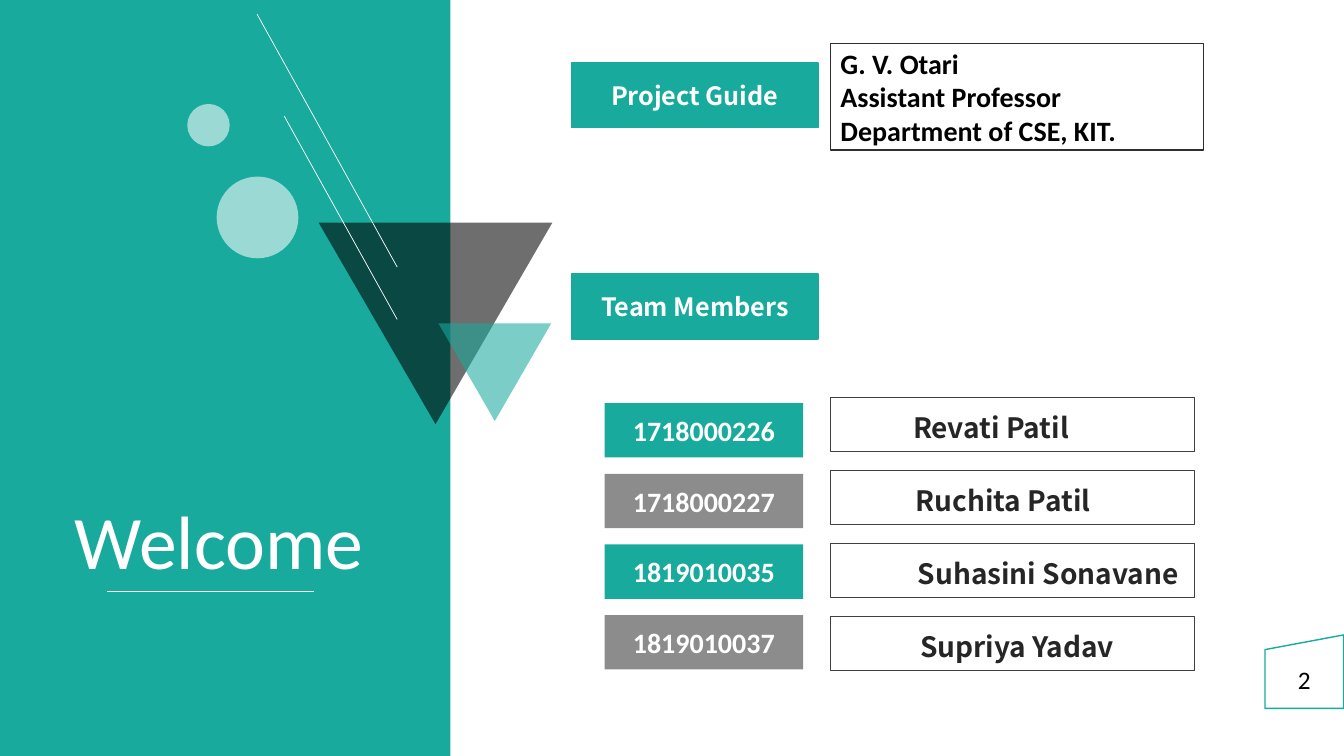
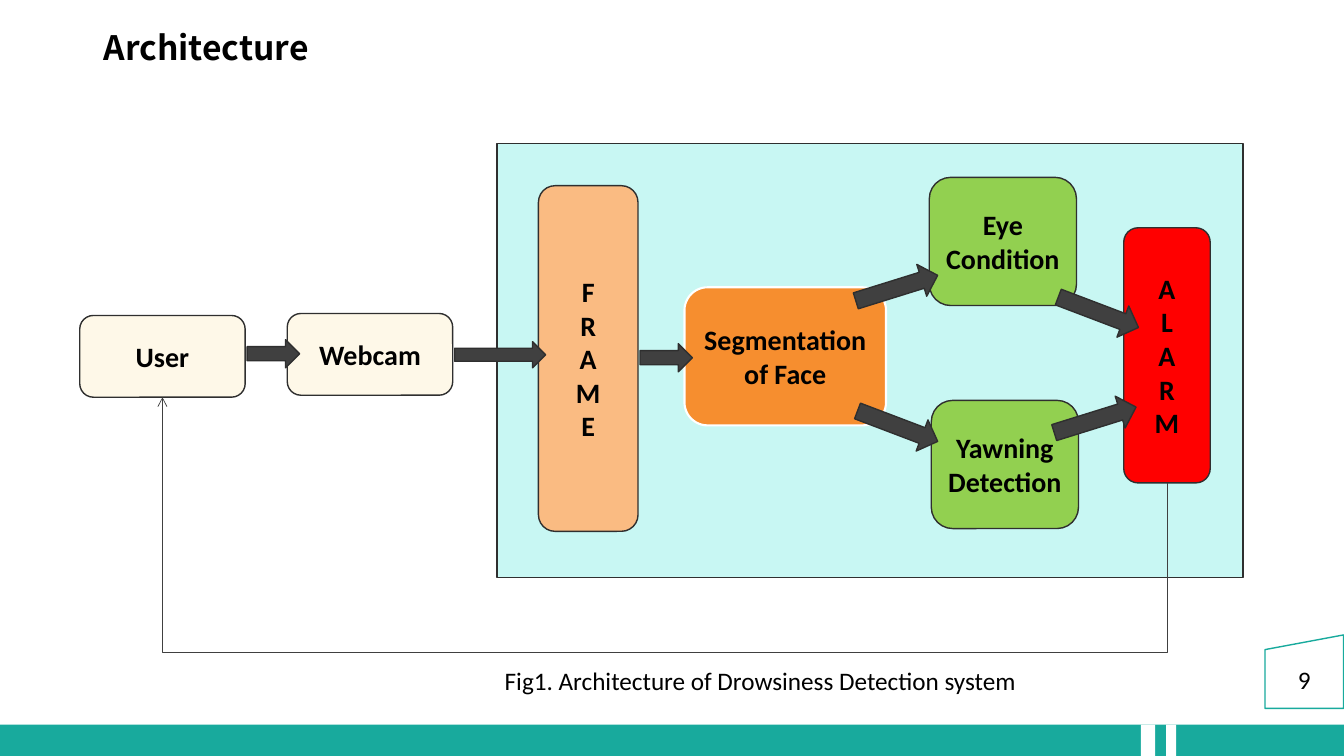
from lxml import etree
from pptx import Presentation
from pptx.dml.color import RGBColor
from pptx.enum.shapes import MSO_CONNECTOR, MSO_SHAPE
from pptx.enum.text import MSO_ANCHOR, MSO_AUTO_SIZE, PP_ALIGN
from pptx.oxml.ns import qn
from pptx.util import Cm, Pt

RECT = MSO_SHAPE.RECTANGLE
ROUNDED = MSO_SHAPE.ROUNDED_RECTANGLE
TRIANGLE = MSO_SHAPE.ISOSCELES_TRIANGLE
OVAL = MSO_SHAPE.OVAL
BLOCK_ARROW = MSO_SHAPE.RIGHT_ARROW
PAGE_TAB = MSO_SHAPE.FLOWCHART_MANUAL_INPUT
STRAIGHT, ELBOW = MSO_CONNECTOR.STRAIGHT, MSO_CONNECTOR.ELBOW
LEFT, CENTER = PP_ALIGN.LEFT, PP_ALIGN.CENTER
TOP, MIDDLE = MSO_ANCHOR.TOP, MSO_ANCHOR.MIDDLE
NO_AUTOFIT = MSO_AUTO_SIZE.NONE
BOTTOM_SIDE = 2

TEAL = RGBColor(0x18, 0xAA, 0x9D)
WHITE = RGBColor(0xFF, 0xFF, 0xFF)
BLACK = RGBColor(0x00, 0x00, 0x00)
INK = RGBColor(0x26, 0x26, 0x26)
OUTLINE = RGBColor(0x2F, 0x2F, 0x2F)
CHARCOAL = RGBColor(0x40, 0x40, 0x40)
GRAY = RGBColor(0x8C, 0x8C, 0x8C)
CREAM = RGBColor(0xFE, 0xF8, 0xE8)
AQUA = RGBColor(0xC8, 0xF7, 0xF3)
PEACH = RGBColor(0xFA, 0xBB, 0x82)
ORANGE = RGBColor(0xF6, 0x8E, 0x2F)
GREEN = RGBColor(0x92, 0xD0, 0x50)
RED = RGBColor(0xFF, 0x00, 0x00)

BODY_FONT = "Calibri"
HEAD_FONT = "Noto Sans CJK SC"
SLIDE_W, SLIDE_H = 33.87, 19.05
TITLE_ONLY = 5

TEAM = [
    ("1718000226", "Revati Patil"),
    ("1718000227", "Ruchita Patil"),
    ("1819010035", "Suhasini Sonavane"),
    ("1819010037", "Supriya Yadav"),
]


def write(shape, text, size, color=BLACK, bold=True, font=BODY_FONT,
          align=CENTER, anchor=MIDDLE):
    """Fill a shape with one paragraph for each line of text."""
    frame = shape.text_frame
    frame.word_wrap = True
    frame.auto_size = NO_AUTOFIT
    frame.vertical_anchor = anchor
    for index, line in enumerate(text.split("\n")):
        paragraph = frame.add_paragraph() if index else frame.paragraphs[0]
        paragraph.alignment = align
        run = paragraph.add_run()
        run.text = line
        run.font.name = font
        run.font.size = Pt(size)
        run.font.bold = bold
        run.font.color.rgb = color


def add_block(slide, kind, box, fill=None, line=None, weight=1, alpha=None):
    """Add a preset shape; box is left, top, width, height in centimetres."""
    block = slide.shapes.add_shape(kind, *map(Cm, box))
    block.shadow.inherit = False
    if fill is None:
        block.fill.background()
    else:
        block.fill.solid()
        block.fill.fore_color.rgb = fill
    if alpha is not None:
        color = block.element.spPr.find(qn("a:solidFill"))[0]
        etree.SubElement(color, qn("a:alpha"), val=str(alpha * 1000))
    if line is None:
        block.line.fill.background()
    else:
        block.line.color.rgb = line
        block.line.width = Pt(weight)
    return block


def add_thin_line(slide, start, end, color, kind=STRAIGHT, arrow=False):
    line = slide.shapes.add_connector(kind, *map(Cm, start + end))
    line.line.color.rgb = color
    line.line.width = Pt(0.5)
    properties = line.element.spPr
    if arrow:
        etree.SubElement(properties.find(qn("a:ln")), qn("a:tailEnd"), type="arrow")
    etree.SubElement(properties, qn("a:effectLst"))
    return line


def place_title(slide, box, text, **style):
    """Move the title placeholder to box, in front of the shapes so far."""
    title = slide.shapes.title
    title.left, title.top, title.width, title.height = map(Cm, box)
    title.element.getparent().append(title.element)
    write(title, text, align=LEFT, anchor=TOP, **style)


def page_number(slide, number):
    tab = add_block(slide, PAGE_TAB, (31.88, 16, 1.98, 1.85), WHITE, TEAL)
    write(tab, str(number), 18, bold=False)


def footer_band(slide, top=18.26):
    height = SLIDE_H - top
    add_block(slide, RECT, (0, top, SLIDE_W, height), TEAL)
    for left, width in ((28.75, 0.36), (29.39, 0.25)):
        add_block(slide, RECT, (left, top, width, height), WHITE)


def welcome_panel(slide, left, top):
    add_block(slide, RECT, (left, top, 11.35, SLIDE_H), TEAL)
    for x, y, width, height, fill in ((8.03, 5.61, 5.89, 5.08, BLACK),
                                      (11.05, 8.15, 2.84, 2.46, TEAL)):
        triangle = add_block(slide, TRIANGLE, (left + x, top + y, width, height),
                             fill, alpha=57)
        triangle.rotation = 180
    for x1, y1, x2, y2 in ((7.16, 2.92, 10.01, 8.05), (6.48, 0.36, 10.01, 6.73),
                           (2.69, 14.91, 7.92, 14.91)):
        add_thin_line(slide, (left + x1, top + y1), (left + x2, top + y2), WHITE)
    for x, y, size in ((5.46, 4.45, 2.06), (4.72, 2.62, 1.07)):
        add_block(slide, OVAL, (left + x, top + y, size, size), WHITE, alpha=57)
    place_title(slide, (left + 1.63, top + 12.32, 8.28, 2.57), "Welcome",
                size=54, color=WHITE, bold=False)


def section_label(slide, left, top, text):
    label = add_block(slide, RECT, (left, top, 6.22, 1.63), TEAL, TEAL)
    write(label, text, 18, WHITE, font=HEAD_FONT)


def project_guide(slide, left, top):
    section_label(slide, left, top + 0.5, "Project Guide")
    guide = add_block(slide, RECT, (left + 6.53, top, 9.4, 2.69), WHITE, OUTLINE)
    write(guide, "G. V. Otari\nAssistant Professor\nDepartment of CSE, KIT.",
          20, align=LEFT)


def team_members(slide, left, top):
    section_label(slide, left, top, "Team Members")
    for row, (roll_number, member) in enumerate(TEAM):
        roll = add_block(slide, RECT, (left + 0.84, top + 3.25 + 1.78 * row, 5, 1.37),
                         GRAY if row % 2 else TEAL)
        write(roll, roll_number, 20, WHITE)
        name = add_block(slide, RECT, (left + 6.53, top + 3.1 + 1.84 * row, 9.17, 1.37),
                         line=CHARCOAL, weight=0.75)
        write(name, member, 20, INK, font=HEAD_FONT, align=LEFT)
        frame = name.text_frame
        frame.margin_left = Cm(2.08 + 0.06 * row)
        frame.margin_top = Cm(0.15)
        frame.margin_right = frame.margin_bottom = 0


def feedback_line(slide, source, target, drop):
    """Lead from under source to under target, dipping drop below source."""
    line = add_thin_line(slide, (0, 0), (1, 1), CHARCOAL, ELBOW, arrow=True)
    line.begin_connect(source, BOTTOM_SIDE)
    line.end_connect(target, BOTTOM_SIDE)
    x1, y1, x2, y2 = line.begin_x, line.begin_y, line.end_x, line.end_y
    run, rise = x1 - x2, y1 - y2
    xfrm = line.element.spPr.find(qn("a:xfrm"))
    for flip in ("flipH", "flipV"):
        xfrm.attrib.pop(flip, None)
    xfrm.set("rot", "5400000")
    xfrm.set("flipH", "1")
    line.left, line.top = (x1 + x2 - rise) // 2, (y1 + y2 - run) // 2
    line.width, line.height = rise, run
    geometry = line.element.spPr.find(qn("a:prstGeom"))
    adjustments = geometry.find(qn("a:avLst"))
    if adjustments is None:
        adjustments = etree.SubElement(geometry, qn("a:avLst"))
    bend = round(-100000 * Cm(drop) / rise)
    etree.SubElement(adjustments, qn("a:gd"), name="adj1", fmla=f"val {bend}")


def architecture_diagram(slide, left, top):
    def stage(text, x, y, width, height, fill, line=OUTLINE, weight=1):
        block = add_block(slide, ROUNDED, (left + x, top + y, width, height),
                          fill, line, weight)
        write(block, text, 20)
        return block

    user = stage("User", 0, 4.34, 4.17, 2.06, CREAM)
    stage("Webcam", 5.23, 4.29, 4.17, 2.06, CREAM)
    add_block(slide, RECT, (left + 10.52, top, 18.8, 10.95), AQUA, OUTLINE)
    stage("\n".join("FRAME"), 11.56, 1.07, 2.51, 8.71, PEACH)
    stage("Segmentation of Face", 15.24, 3.63, 5.08, 3.48, ORANGE, WHITE, 1.5)
    stage("Eye Condition", 21.41, 0.86, 3.71, 3.23, GREEN)
    stage("Yawning\nDetection", 21.46, 6.48, 3.71, 3.23, GREEN)
    alarm = stage("\n".join("ALARM"), 26.31, 2.13, 2.18, 6.43, RED)

    up, down = -17.3, 20.8
    for x, y, width, height, angle in (
        (4.22, 4.95, 1.32, 0.71, 0),
        (9.45, 5, 2.29, 0.66, 0),
        (14.12, 5.05, 1.32, 0.71, 0),
        (19.51, 3.23, 2.16, 0.84, up),
        (19.53, 6.71, 2.16, 0.84, down),
        (24.59, 3.84, 2.16, 0.84, down),
        (24.51, 6.55, 2.16, 0.84, up),
    ):
        arrow = add_block(slide, BLOCK_ARROW, (left + x, top + y, width, height),
                          CHARCOAL, OUTLINE)
        arrow.rotation = angle
    feedback_line(slide, alarm, user, 4.27)


def figure_caption(slide, left, top):
    caption = slide.shapes.add_textbox(Cm(left), Cm(top), Cm(13.54), Cm(1.02))
    write(caption, "Fig1. Architecture of Drowsiness Detection system", 18,
          bold=False, align=LEFT, anchor=TOP)


def welcome_slide(slide):
    welcome_panel(slide, 0, 0)
    project_guide(slide, 14.4, 1.09)
    team_members(slide, 14.4, 6.91)
    page_number(slide, 2)


def architecture_slide(slide):
    place_title(slide, (2.36, 0.56, 7.34, 1.27), "Architecture",
                size=24, font=HEAD_FONT)
    footer_band(slide)
    page_number(slide, 9)
    architecture_diagram(slide, 2.01, 3.61)
    figure_caption(slide, 12.47, 16.64)


def main():
    deck = Presentation()
    deck.slide_width, deck.slide_height = Cm(SLIDE_W), Cm(SLIDE_H)
    for build in (welcome_slide, architecture_slide):
        build(deck.slides.add_slide(deck.slide_layouts[TITLE_ONLY]))
    deck.save("out.pptx")


if __name__ == "__main__":
    main()
